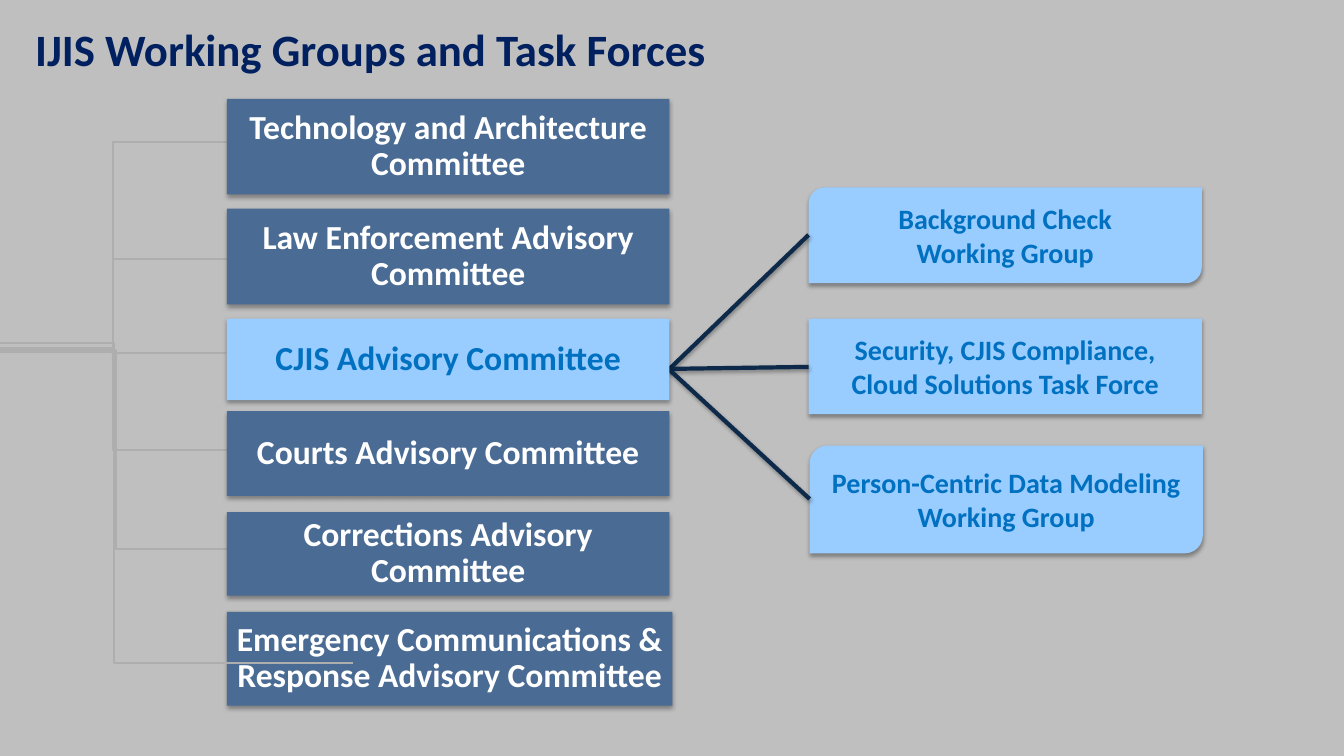
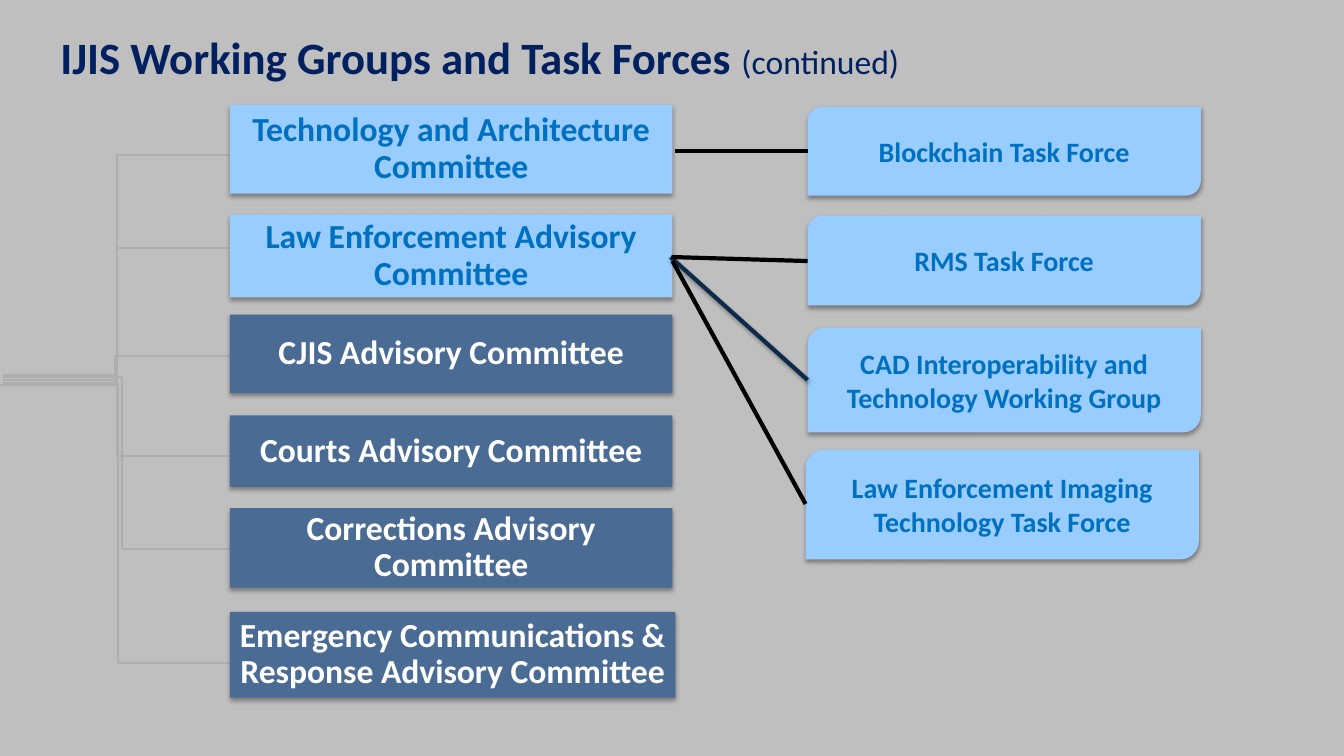
import pptx
import pptx.util
import pptx.dml.color
import pptx.enum.dml
import pptx.enum.shapes
import pptx.enum.text
import pptx.oxml
import pptx.oxml.ns
from lxml import etree

FONT = "Calibri"
GRAY, NAVY, BLUE = "BFBFBF", "002060", "0070C0"
SLATE, SKY, WHITE = "4A6B94", "99CCFF", "FFFFFF"
WIRE, INK, BLACK = "AEAEAE", "0D2A4A", "000000"
KINDS = pptx.enum.shapes.MSO_SHAPE
LINKS = pptx.enum.shapes.MSO_CONNECTOR
ALIGN = pptx.enum.text.PP_ALIGN
HEAD = "IJIS Working Groups and Task Forces"
NAMES = [
    "Technology and Architecture Committee",
    "Law Enforcement Advisory Committee",
    "CJIS Advisory Committee",
    "Courts Advisory Committee",
    "Corrections Advisory Committee",
    "Emergency Communications & Response Advisory Committee",
]


def px(n):
    """100 px to the inch."""
    return pptx.util.Emu(n * 9144)


def color(code):
    return pptx.dml.color.RGBColor.from_string(code)


def write(para, text, size=24, ink=NAVY, bold=True, align=None, lead=None):
    run = para.add_run()
    run.text = text
    font = run.font
    font.name, font.size, font.bold = FONT, pptx.util.Pt(size), bold
    font.color.rgb = color(ink)
    if align is not None:
        para.alignment = align
    if lead:
        para.line_spacing = lead


def effect(part, soft):
    """Give a part a soft shadow, or none at all."""
    tag = pptx.oxml.ns.qn
    props = part._element.spPr
    glow = etree.SubElement(props, tag("a:effectLst"))
    if soft:
        drop = etree.SubElement(glow, tag("a:outerShdw"), blurRad="39370",
                                dist="22860", dir="5400000", rotWithShape="0")
        tone = etree.SubElement(drop, tag("a:srgbClr"), val=BLACK)
        etree.SubElement(tone, tag("a:alpha"), val="35000")


def panel(slide, kind, box, text, fill, pad=None, **form):
    part = slide.shapes.add_shape(kind, *map(px, box))
    part.fill.solid()
    part.fill.fore_color.rgb = color(fill)
    part.line.fill.background()
    effect(part, True)
    frame = part.text_frame
    frame.word_wrap = True
    frame.vertical_anchor = pptx.enum.text.MSO_ANCHOR.MIDDLE
    if pad is not None:
        frame.margin_left = frame.margin_right = px(pad)
        frame.margin_top = frame.margin_bottom = px(pad)
    for i, row in enumerate(text.split("\n")):
        para = frame.add_paragraph() if i else frame.paragraphs[0]
        write(para, row, align=ALIGN.CENTER, **form)


def link(slide, ends, ink=INK, width=3, soft=False, kind=LINKS.STRAIGHT):
    part = slide.shapes.add_connector(kind, *map(px, ends))
    part.line.color.rgb = color(ink)
    part.line.width = pptx.util.Pt(width)
    effect(part, soft)
    return part


def elbow(slide, x, y, bend, right, low):
    """Step from (x, y) to (right, low), turning at bend."""
    part = link(slide, (x, y, right, low), WIRE, 1.5, kind=LINKS.ELBOW)
    geom = part._element.spPr.find(pptx.oxml.ns.qn("a:prstGeom"))
    rule = geom.get_or_add_avLst()
    share = round((bend - x) / (right - x) * 100000)
    etree.SubElement(rule, pptx.oxml.ns.qn("a:gd"), name="adj1",
                     fmla=f"val {share}")


def title(slide, box, more=None):
    part = slide.shapes.add_textbox(*map(px, box))
    frame = part.text_frame
    frame.word_wrap = True
    frame.auto_size = pptx.enum.text.MSO_AUTO_SIZE.SHAPE_TO_FIT_TEXT
    para = frame.paragraphs[0]
    write(para, HEAD + (" " if more else ""), size=32)
    if more:
        write(para, more, bold=False)


def boards(slide, left, rows, lit):
    """Column of committees; those in lit are highlighted."""
    for i, (name, (top, high)) in enumerate(zip(NAMES, rows)):
        wide = 442 if i == len(NAMES) - 1 else 439
        fill, ink = (SKY, BLUE) if i in lit else (SLATE, WHITE)
        panel(slide, KINDS.RECTANGLE, (left, top, wide, high), name, fill,
              pad=1, ink=ink, lead=0.9)


def teams(slide, rows):
    """Column of working groups and task forces."""
    for left, top, high, text, kind in rows:
        panel(slide, kind, (left, top, 390, high), text, SKY,
              size=20, ink=BLUE)


def page(deck):
    slide = deck.slides.add_slide(deck.slide_layouts[6])
    slide.background.fill.solid()
    slide.background.fill.fore_color.rgb = color(GRAY)
    return slide


def first(deck):
    slide = page(deck)
    title(slide, (25, 17, 1087, 64))
    leaf = KINDS.ROUND_2_DIAG_RECTANGLE
    teams(slide, [
        (802, 186, 95, "Background Check\nWorking Group", leaf),
        (802, 316, 95, "Security, CJIS Compliance, Cloud Solutions Task Force",
         KINDS.RECTANGLE),
        (803, 442, 107, "Person-Centric Data Modeling Working Group", leaf),
    ])
    for ends in [(664, 366, 802, 233), (663, 366, 802, 364),
                 (662, 365, 803, 495)]:
        link(slide, ends, soft=True)
    # Tree on the left
    for wire in [(0, 345, 112, 225, 141), (0, 347, 112, 225, 257),
                 (0, 349, 111, 224, 350), (0, 347, 112, 225, 446),
                 (0, 347, 115, 351, 545)]:
        elbow(slide, *wire)
    boards(slide, 225, [(98, 95), (207, 95), (316, 81), (408, 84),
                        (508, 83), (607, 93)], {2})
    # The last branch runs over its board
    elbow(slide, 0, 340, 113, 350, 658)


def second(deck):
    slide = page(deck)
    title(slide, (50, 25, 1042, 64), "(continued)")
    # Tree on the left
    for wire in [(3, 372, 116, 228, 154), (3, 377, 116, 228, 246),
                 (0, 382, 114, 228, 353), (3, 377, 116, 228, 452),
                 (3, 374, 121, 354, 545), (3, 380, 117, 350, 658)]:
        elbow(slide, *wire)
    boards(slide, 228, [(104, 88), (213, 82), (312, 78), (412, 71),
                        (504, 79), (607, 85)], {0, 1})
    leaf = KINDS.ROUND_2_DIAG_RECTANGLE
    teams(slide, [
        (801, 106, 88, "Blockchain Task Force", leaf),
        (801, 214, 89, "RMS Task Force", leaf),
        (801, 325, 104, "CAD Interoperability and Technology Working Group",
         leaf),
        (799, 446, 109, "Law Enforcement Imaging Technology Task Force", leaf),
    ])
    link(slide, (665, 255, 801, 377), soft=True)
    for ends in [(666, 255, 801, 259), (667, 259, 799, 500),
                 (669, 150, 801, 150)]:
        link(slide, ends, BLACK)


def main():
    deck = pptx.Presentation()
    deck.slide_width, deck.slide_height = px(1333), px(750)
    first(deck)
    second(deck)
    deck.save("out.pptx")


if __name__ == "__main__":
    main()
